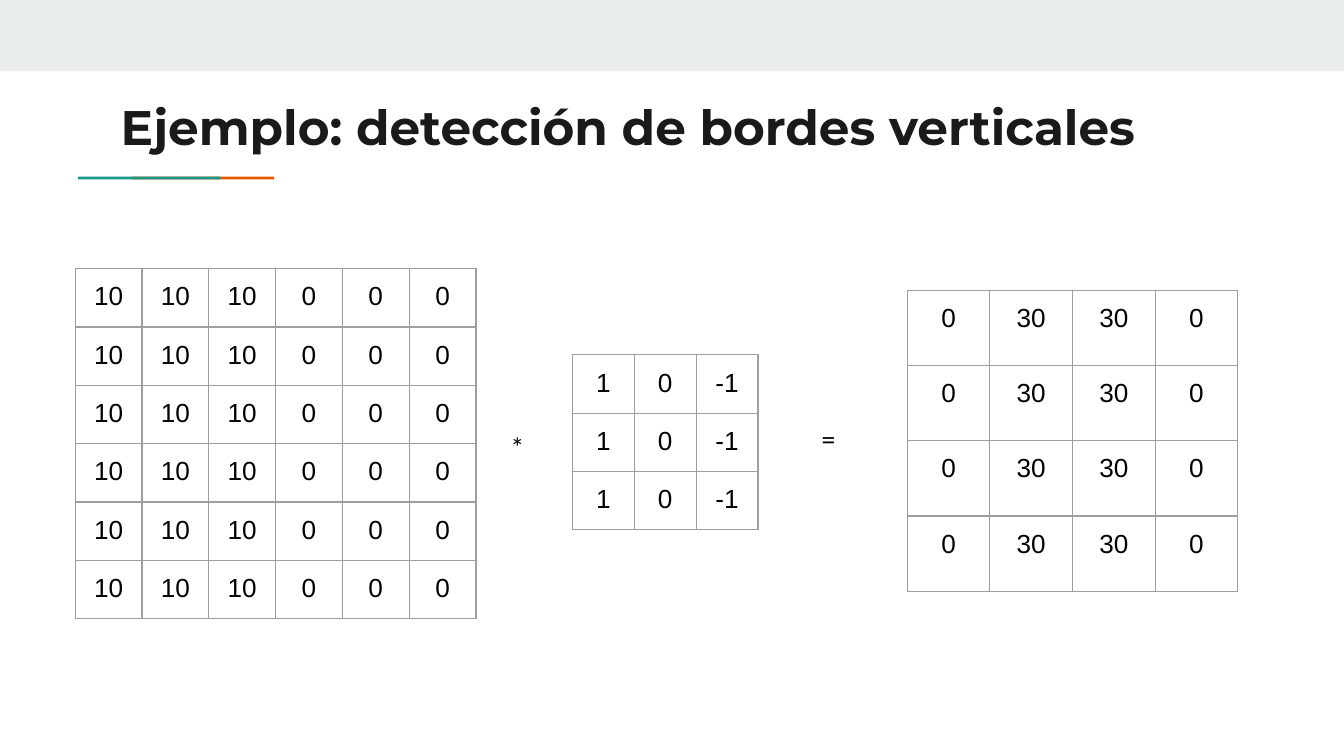
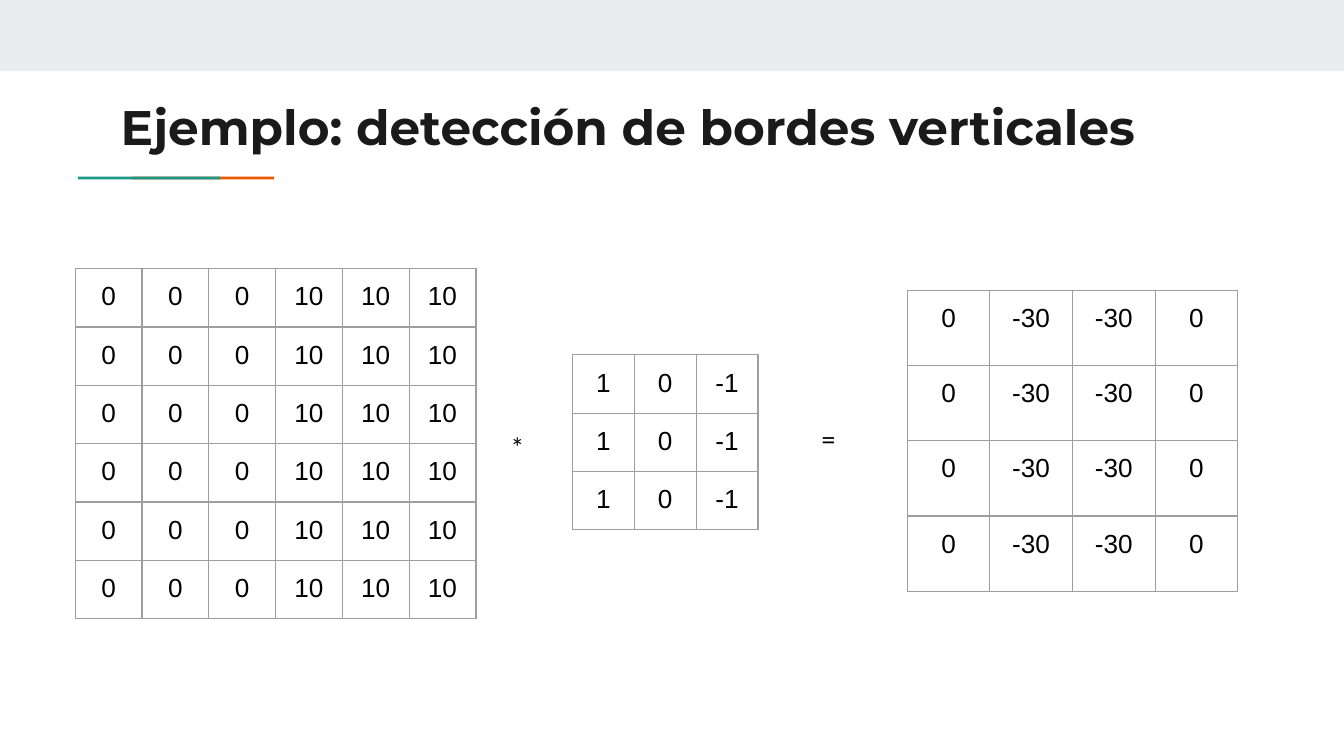
from lxml import etree
from pptx import Presentation
from pptx.dml.color import RGBColor
from pptx.enum.shapes import MSO_SHAPE
from pptx.enum.text import MSO_ANCHOR, PP_ALIGN
from pptx.oxml.ns import qn
from pptx.util import Inches, Pt

RECT = MSO_SHAPE.RECTANGLE
TOP = MSO_ANCHOR.TOP
LEFT, CENTER = PP_ALIGN.LEFT, PP_ALIGN.CENTER

BAND = RGBColor(0xE9, 0xED, 0xEE)
ORANGE = RGBColor(0xEB, 0x56, 0x00)
TEAL = RGBColor(0x1A, 0x99, 0x88)
TITLE_INK = RGBColor(0x1A, 0x1A, 0x1A)
BLACK = RGBColor(0x00, 0x00, 0x00)
GRID = RGBColor(0x9E, 0x9E, 0x9E)

SLIDE_W, SLIDE_H = 10, 5.625
MARGIN = Inches(0.1)
GRID_WIDTH = Pt(0.75)
TITLE = "Ejemplo: detección de bordes verticales"

KERNEL_ROW = [1, 0, -1]
EXAMPLES = [
    ([10, 10, 10, 0, 0, 0], [0, 30, 30, 0]),
    ([0, 0, 0, 10, 10, 10], [0, -30, -30, 0]),
]


def style_text(tf, text, font, size, color, align=LEFT, bold=False):
    tf.text = text
    p = tf.paragraphs[0]
    p.alignment = align
    f = p.runs[0].font
    f.name, f.size, f.bold = font, Pt(size), bold
    f.color.rgb = color


def add_bar(slide, left, top, width, height, color):
    sp = slide.shapes.add_shape(RECT, Inches(left), Inches(top), Inches(width), Inches(height))
    sp.shadow.inherit = False
    sp.fill.solid()
    sp.fill.fore_color.rgb = color
    sp.line.fill.background()


def add_text(slide, left, top, width, height, text, font, size, color, bold=False):
    sp = slide.shapes.add_textbox(Inches(left), Inches(top), Inches(width), Inches(height))
    tf = sp.text_frame
    tf.word_wrap = True
    tf.vertical_anchor = TOP
    tf.margin_left = tf.margin_right = tf.margin_top = tf.margin_bottom = MARGIN
    style_text(tf, text, font, size, color, bold=bold)


def set_borders(cell):
    tc_pr = cell._tc.get_or_add_tcPr()
    for i, side in enumerate(("a:lnL", "a:lnR", "a:lnT", "a:lnB")):
        ln = etree.Element(qn(side), w=str(int(GRID_WIDTH)))
        fill = etree.SubElement(ln, qn("a:solidFill"))
        etree.SubElement(fill, qn("a:srgbClr"), val=str(GRID))
        tc_pr.insert(i, ln)


def add_matrix(slide, left, top, cell_w, cell_h, row, count):
    frame = slide.shapes.add_table(
        count, len(row), Inches(left), Inches(top),
        Inches(cell_w * len(row)), Inches(cell_h * count))
    table = frame.table
    table.first_row = table.horz_banding = False
    for column in table.columns:
        column.width = Inches(cell_w)
    for table_row in table.rows:
        table_row.height = Inches(cell_h)
        for cell, value in zip(table_row.cells, row):
            cell.margin_left = cell.margin_right = MARGIN
            cell.margin_top = cell.margin_bottom = MARGIN
            cell.vertical_anchor = TOP
            cell.fill.background()
            set_borders(cell)
            style_text(cell.text_frame, str(value), "Arial", 14, BLACK, CENTER)


def add_header(slide, left, top):
    add_bar(slide, left, top, SLIDE_W, 0.53, BAND)
    for x, color in ((0.98, ORANGE), (0.58, TEAL)):
        add_bar(slide, left + x, top + 1.315, 1.06, 0.02, color)
    add_text(slide, left + 0.8, top + 0.62, 8.41, 0.59, TITLE, "Montserrat", 26, TITLE_INK, True)


def add_convolution(slide, left, top, input_row, result_row):
    add_matrix(slide, left + 3.7, top + 0.64, 0.46, 0.35, KERNEL_ROW, 3)
    add_text(slide, left + 3.15, top + 1.11, 0.29, 0.35, "*", "Lato", 14, BLACK)
    add_text(slide, left + 5.45, top + 1.05, 0.38, 0.48, "=", "Lato", 14, BLACK)
    add_matrix(slide, left + 6.19, top + 0.16, 0.615, 0.56, result_row, 4)
    add_matrix(slide, left, top, 0.497, 0.426, input_row, 6)


def main():
    prs = Presentation()
    prs.slide_width, prs.slide_height = Inches(SLIDE_W), Inches(SLIDE_H)
    for input_row, result_row in EXAMPLES:
        slide = prs.slides.add_slide(prs.slide_layouts[6])
        add_header(slide, 0, 0)
        add_convolution(slide, 0.56, 2, input_row, result_row)
    prs.save("out.pptx")


if __name__ == "__main__":
    main()
